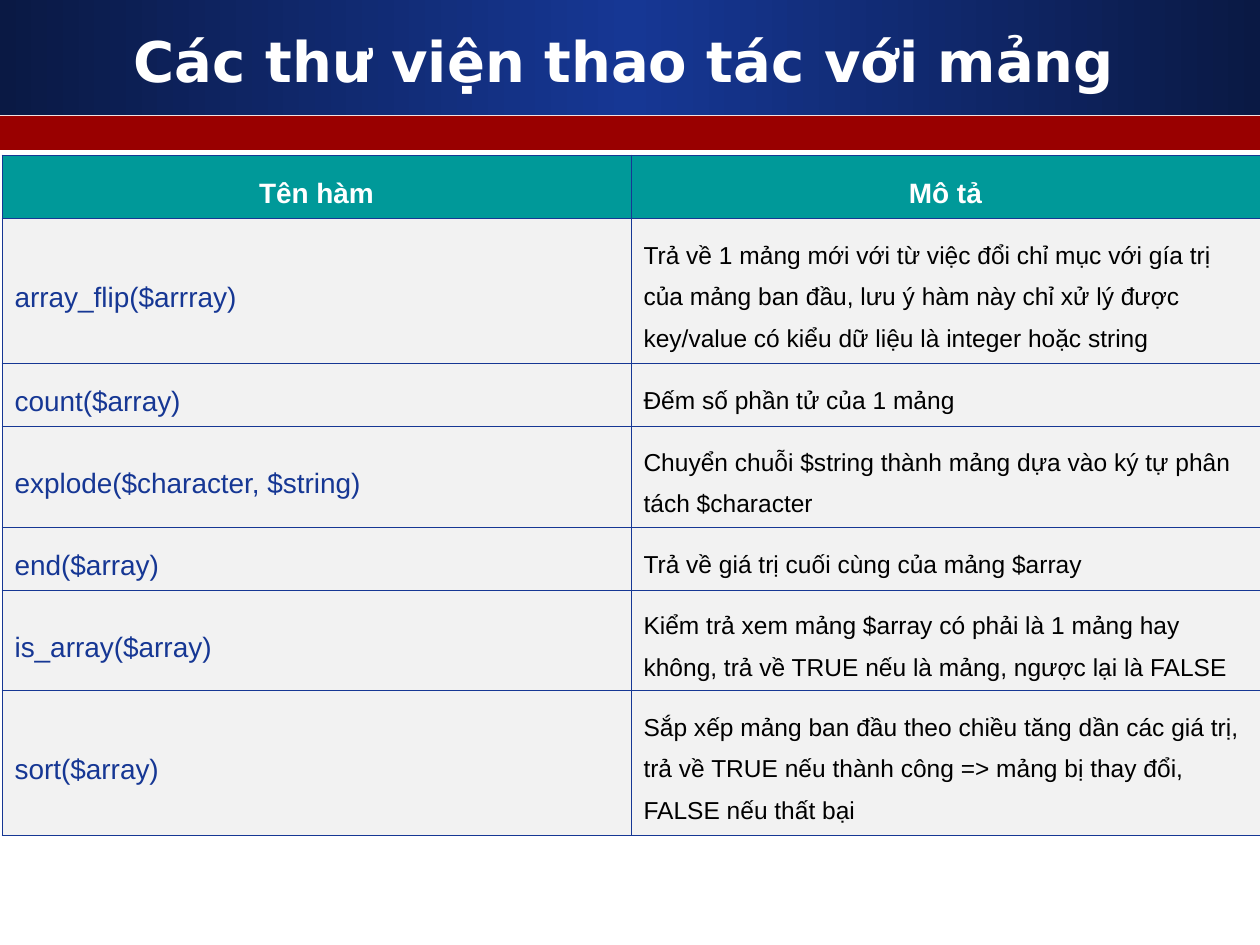
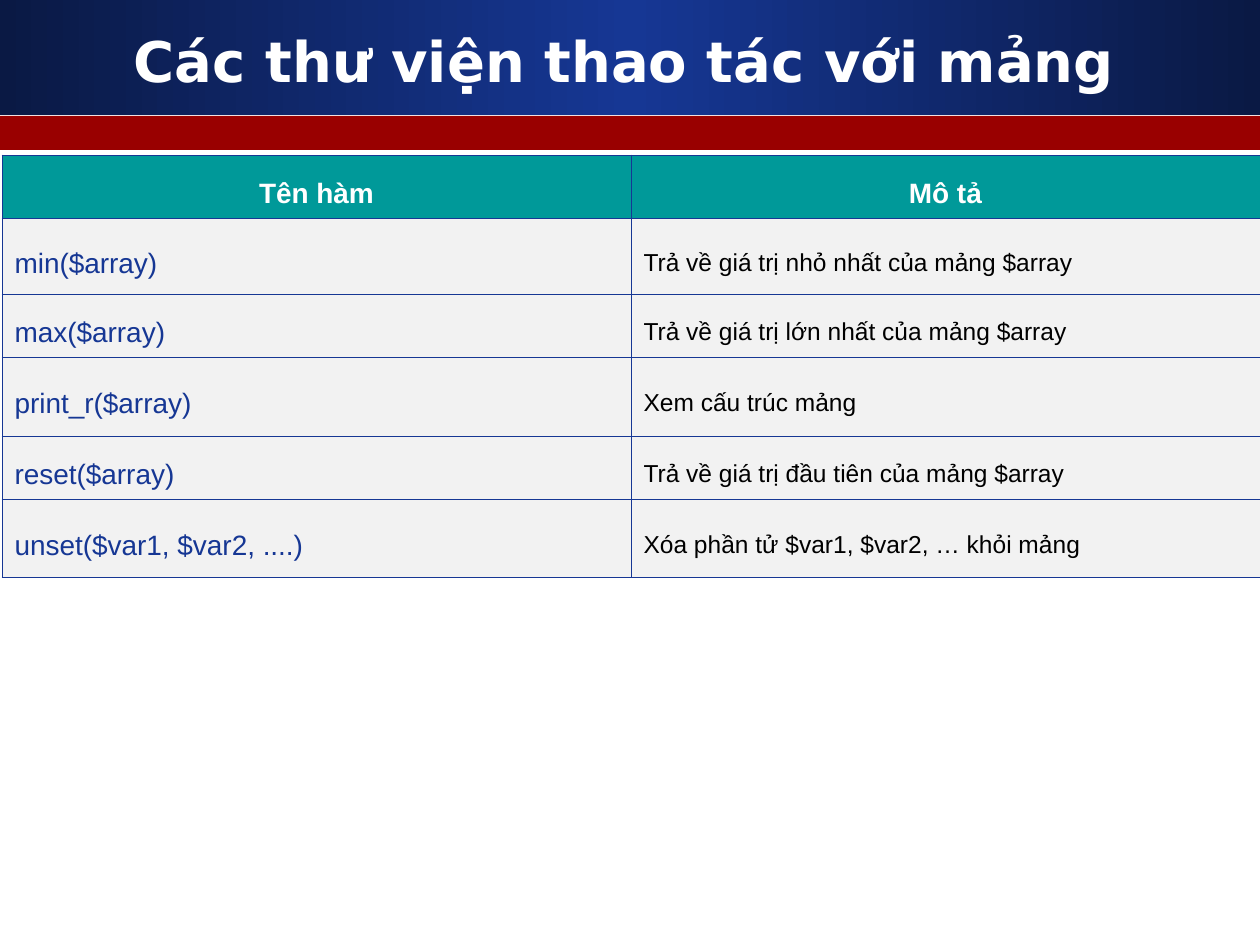
import copy
import dataclasses

import lxml.etree
import pptx
import pptx.dml.color
import pptx.enum.shapes
import pptx.enum.text
import pptx.oxml.ns
import pptx.util

EMU_PER_PX = 914400 / 126
COLORS = {
    "navy": "0A1944",
    "blue": "163794",
    "red": "990000",
    "teal": "009999",
    "gray": "F2F2F2",
    "white": "FFFFFF",
    "black": "000000",
}
SLIDE_WIDTH, SLIDE_HEIGHT = 1260, 945
TABLE_LEFT, TABLE_TOP, COLUMN_WIDTH = 2, 155, 629
BORDER_POINTS = 0.45
HEADING = "Các thư viện thao tác với mảng"


@dataclasses.dataclass(frozen=True)
class TextStyle:
    font: str
    size: int
    color: str
    bold: bool = False
    centered: bool = False
    line_spacing: float = 1.0


@dataclasses.dataclass(frozen=True)
class Band:
    top: int
    height: int
    colors: tuple[str, ...]


@dataclasses.dataclass(frozen=True)
class FunctionRow:
    name: str
    description: str
    height: int


TITLE_STYLE = TextStyle("DejaVu Sans", 32, "white", bold=True, centered=True)
HEADER_STYLE = TextStyle("Arial", 16, "white", bold=True, centered=True, line_spacing=1.5)
NAME_STYLE = TextStyle("Arial", 16, "blue", line_spacing=1.5)
DESCRIPTION_STYLE = TextStyle("Arial", 14, "black", line_spacing=1.5)

BANDS = (
    Band(0, 115, ("navy", "blue", "navy")),
    Band(116, 34, ("red",)),
)
HEADER = FunctionRow("Tên hàm", "Mô tả", 63)
FUNCTION_PAGES = (
    (
        FunctionRow(
            "array_flip($arrray)",
            "Trả về 1 mảng mới với từ việc đổi chỉ mục với gía trị của mảng ban đầu, "
            "lưu ý hàm này chỉ xử lý được key/value có kiểu dữ liệu là integer hoặc string",
            145,
        ),
        FunctionRow("count($array)", "Đếm số phần tử của 1 mảng", 63),
        FunctionRow(
            "explode($character, $string)",
            "Chuyển chuỗi $string thành mảng dựa vào ký tự phân tách $character",
            101,
        ),
        FunctionRow("end($array)", "Trả về giá trị cuối cùng của mảng $array", 63),
        FunctionRow(
            "is_array($array)",
            "Kiểm trả xem mảng $array có phải là 1 mảng hay không, "
            "trả về TRUE nếu là mảng, ngược lại là FALSE",
            100,
        ),
        FunctionRow(
            "sort($array)",
            "Sắp xếp mảng ban đầu theo chiều tăng dần các giá trị, "
            "trả về TRUE nếu thành công => mảng bị thay đổi, FALSE nếu thất bại",
            145,
        ),
    ),
    (
        FunctionRow("min($array)", "Trả về giá trị nhỏ nhất của mảng $array", 76),
        FunctionRow("max($array)", "Trả về giá trị lớn nhất của mảng $array", 63),
        FunctionRow("print_r($array)", "Xem cấu trúc mảng", 79),
        FunctionRow("reset($array)", "Trả về giá trị đầu tiên của mảng $array", 63),
        FunctionRow("unset($var1, $var2, ....)", "Xóa phần tử $var1, $var2, … khỏi mảng", 78),
    ),
)


def px(length: int) -> pptx.util.Emu:
    return pptx.util.Emu(round(length * EMU_PER_PX))


def rgb(color: str) -> pptx.dml.color.RGBColor:
    return pptx.dml.color.RGBColor.from_string(COLORS[color])


def write_text(frame, text: str, style: TextStyle) -> None:
    frame.text = text
    align = pptx.enum.text.PP_ALIGN
    for paragraph in frame.paragraphs:
        paragraph.alignment = align.CENTER if style.centered else align.LEFT
        paragraph.line_spacing = style.line_spacing
        for run in paragraph.runs:
            run.font.name = style.font
            run.font.size = pptx.util.Pt(style.size)
            run.font.bold = style.bold
            run.font.color.rgb = rgb(style.color)


def fill_band(shape, colors: tuple[str, ...]) -> None:
    if len(colors) == 1:
        shape.fill.solid()
        shape.fill.fore_color.rgb = rgb(colors[0])
        return
    shape.fill.gradient()
    shape.fill.gradient_angle = 0
    stop_list = shape._element.spPr.find(".//" + pptx.oxml.ns.qn("a:gsLst"))
    for _ in range(len(colors) - len(stop_list)):
        stop_list.append(copy.deepcopy(stop_list[0]))
    for index, (stop, color) in enumerate(zip(shape.fill.gradient_stops, colors)):
        stop.position = index / (len(colors) - 1)
        stop.color.rgb = rgb(color)


def add_band(slide, band: Band) -> None:
    shape = slide.shapes.add_shape(
        pptx.enum.shapes.MSO_SHAPE.RECTANGLE, 0, px(band.top), px(SLIDE_WIDTH), px(band.height)
    )
    shape.shadow.inherit = False
    shape.line.fill.background()
    fill_band(shape, band.colors)


def place_title(slide, text: str) -> None:
    title = slide.shapes.title
    title.left, title.top, title.width, title.height = map(px, (42, 21, 1165, 78))
    frame = title.text_frame
    frame.word_wrap = True
    frame.auto_size = pptx.enum.text.MSO_AUTO_SIZE.NONE
    frame.vertical_anchor = pptx.enum.text.MSO_ANCHOR.MIDDLE
    write_text(frame, text, TITLE_STYLE)
    slide.shapes._spTree.append(title._element)


def draw_borders(cell) -> None:
    qn = pptx.oxml.ns.qn
    properties = cell._tc.get_or_add_tcPr()
    for side in ("a:lnL", "a:lnR", "a:lnT", "a:lnB"):
        border = lxml.etree.SubElement(properties, qn(side), w=str(pptx.util.Pt(BORDER_POINTS)))
        solid = lxml.etree.SubElement(border, qn("a:solidFill"))
        lxml.etree.SubElement(solid, qn("a:srgbClr"), val=COLORS["blue"])


def write_cell(cell, text: str, style: TextStyle, background: str) -> None:
    draw_borders(cell)
    cell.fill.solid()
    cell.fill.fore_color.rgb = rgb(background)
    cell.vertical_anchor = pptx.enum.text.MSO_ANCHOR.MIDDLE
    write_text(cell.text_frame, text, style)


def add_function_table(slide, functions: tuple[FunctionRow, ...]) -> None:
    rows = (HEADER, *functions)
    table = slide.shapes.add_table(
        len(rows), 2, px(TABLE_LEFT), px(TABLE_TOP),
        px(2 * COLUMN_WIDTH), px(sum(row.height for row in rows)),
    ).table
    table.horz_banding = False
    for column in table.columns:
        column.width = px(COLUMN_WIDTH)
    for index, row in enumerate(rows):
        table.rows[index].height = px(row.height)
        if row is HEADER:
            styles, background = (HEADER_STYLE, HEADER_STYLE), "teal"
        else:
            styles, background = (NAME_STYLE, DESCRIPTION_STYLE), "gray"
        for column, text in enumerate((row.name, row.description)):
            write_cell(table.cell(index, column), text, styles[column], background)


def main() -> None:
    presentation = pptx.Presentation()
    presentation.slide_width = px(SLIDE_WIDTH)
    presentation.slide_height = px(SLIDE_HEIGHT)
    title_only = presentation.slide_layouts.get_by_name("Title Only")
    for functions in FUNCTION_PAGES:
        slide = presentation.slides.add_slide(title_only)
        slide.background.fill.solid()
        slide.background.fill.fore_color.rgb = rgb("white")
        for band in BANDS:
            add_band(slide, band)
        place_title(slide, HEADING)
        add_function_table(slide, functions)
    presentation.save("out.pptx")


if __name__ == "__main__":
    main()
